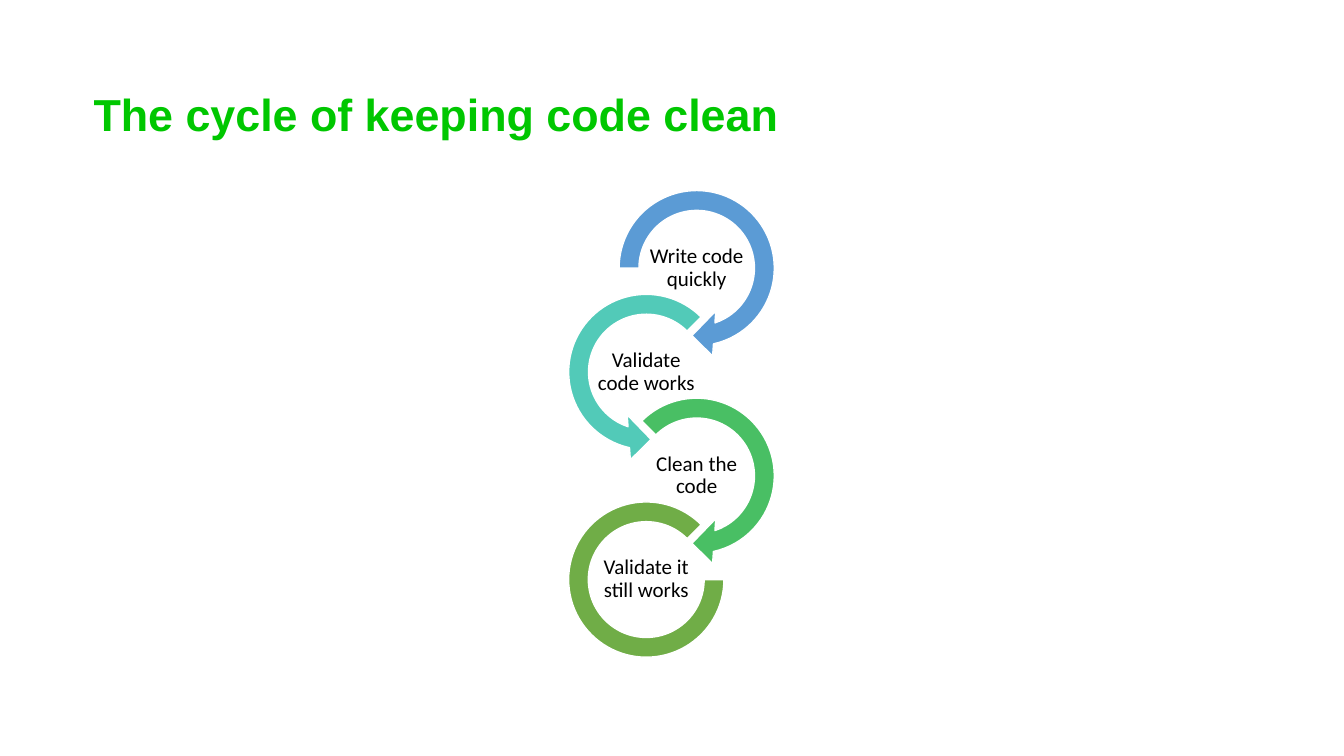
from pptx import Presentation
from pptx.dml.color import RGBColor
from pptx.enum.shapes import MSO_SHAPE as Preset
from pptx.enum.text import MSO_ANCHOR as Anchor, PP_ALIGN as Align
from pptx.util import Inches, Pt

# Ring looks: preset, diameter, adjustments
RIGHT_START = (Preset.CIRCULAR_ARROW, 1.79, (0.11, 11.42, 45, 108, 0.125))
LEFT_TURN = (Preset.LEFT_CIRCULAR_ARROW, 1.79, (0.11, 11.42, 63, 189, 0.125))
RIGHT_TURN = (Preset.CIRCULAR_ARROW, 1.79, (0.11, 11.42, 45, 135, 0.125))
LEFT_END = (Preset.BLOCK_ARC, 1.54, (0, 189, 0.127))

STEPS = [
    ("Write code quickly", "5B9BD5", RIGHT_START),
    ("Validate code works", "52CAB8", LEFT_TURN),
    ("Clean the code", "49BF64", RIGHT_TURN),
    ("Validate it still works", "70AD47", LEFT_END),
]
COLUMNS = (6.91, 6.41)
FIRST_CENTER, STEP_PITCH = 2.66, 1.03

TITLE_FONT = {"name": "Arial", "size": Pt(32), "bold": True}
LABEL_FONT = {"name": "Calibri", "size": Pt(15)}
LABEL_FRAME = {"vertical_anchor": Anchor.MIDDLE} | {
    f"margin_{side}": Inches(0.01) for side in ("left", "top", "right", "bottom")}


def color(hex_value):
    return RGBColor.from_string(hex_value)


def apply(target, values):
    for name, value in values.items():
        setattr(target, name, value)


def add_text(page, text, bounds, font, hex_value, frame_format, align):
    box = page.shapes.add_textbox(*map(Inches, bounds))
    frame = box.text_frame
    apply(frame, {"word_wrap": True} | frame_format)
    para = frame.paragraphs[0]
    apply(para, {"alignment": align, "line_spacing": 0.9})
    span = para.add_run()
    span.text = text
    apply(span.font, font)
    span.font.color.rgb = color(hex_value)


def add_ring(page, center_x, center_y, hex_value, look):
    preset, size, adjustments = look
    bounds = (center_x - size / 2, center_y - size / 2, size, size)
    ring = page.shapes.add_shape(preset, *map(Inches, bounds))
    for index, value in enumerate(adjustments):
        ring.adjustments[index] = value
    ring.shadow.inherit = False
    ring.fill.solid()
    ring.fill.fore_color.rgb = color(hex_value)
    ring.line.color.rgb = color("FFFFFF")
    ring.line.width = Pt(1)


def main():
    deck = Presentation()
    apply(deck, {"slide_width": Inches(13.33), "slide_height": Inches(7.5)})
    page = deck.slides.add_slide(deck.slide_layouts[6])

    # Title
    add_text(page, "The cycle of keeping code clean", (0.83, 0.87, 11.73, 0.79),
             TITLE_FONT, "00C700", {"vertical_anchor": Anchor.TOP}, Align.LEFT)

    # Cycle steps, alternating right and left
    for index, (text, hex_value, look) in enumerate(STEPS):
        center_x = COLUMNS[index % 2]
        center_y = FIRST_CENTER + index * STEP_PITCH
        add_ring(page, center_x, center_y, hex_value, look)
        add_text(page, text, (center_x - 0.5, center_y - 0.25, 1, 0.5),
                 LABEL_FONT, "000000", LABEL_FRAME, Align.CENTER)

    deck.save("out.pptx")


if __name__ == "__main__":
    main()
